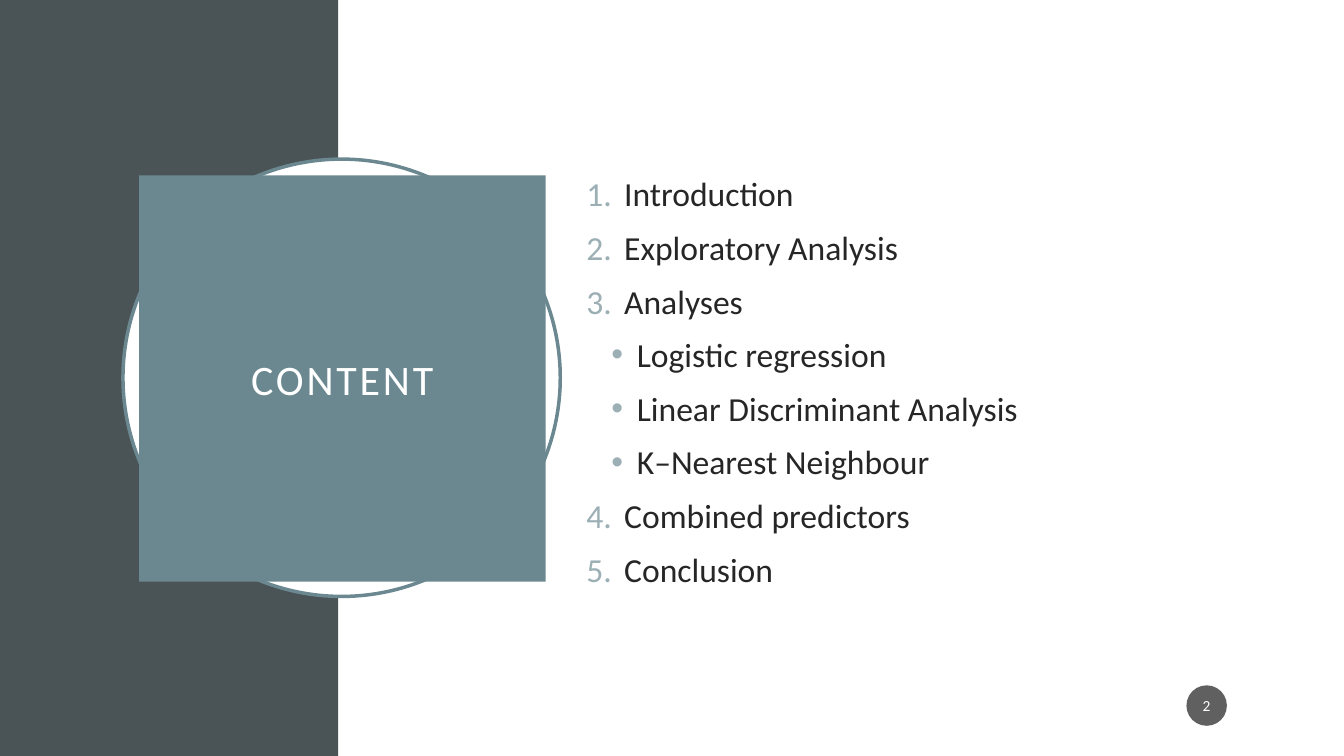
from lxml import etree
from pptx import Presentation
from pptx import util as u
from pptx.dml.color import RGBColor
from pptx.enum import shapes, text
from pptx.oxml.ns import qn

COLOURS = {
    "band": "4A5356", "paper": "FFFFFF", "accent": "6B8891",
    "marker": "9BAFB5", "ink": "262626", "badge": "1D1D1D",
}
SHAPE = shapes.MSO_SHAPE
WIDTH, HEIGHT, BAND_WIDTH = 33.87, 19.05, 8.53
AGENDA = [
    ("Introduction", 0), ("Exploratory Analysis", 0), ("Analyses", 0),
    ("Logistic regression", 1), ("Linear Discriminant Analysis", 1),
    ("K–Nearest Neighbour", 1),
    ("Combined predictors", 0), ("Conclusion", 0),
]


class SlideBuilder:
    """Draws styled elements on the current slide."""

    def __init__(self, slide, font="Calibri"):
        self.slide = slide
        self.font = font

    def colour(self, name):
        return RGBColor.from_string(COLOURS[name])

    def shape(self, kind, left, top, width, height, fill, line=None, opacity=None):
        shape = self.slide.shapes.add_shape(
            kind, u.Cm(left), u.Cm(top), u.Cm(width), u.Cm(height))
        shape.shadow.inherit = False
        shape.fill.solid()
        shape.fill.fore_color.rgb = self.colour(fill)
        if opacity:
            colour = shape.fill._xPr.find(".//" + qn("a:srgbClr"))
            etree.SubElement(colour, qn("a:alpha"), val=str(opacity * 1000))
        if line:
            shape.line.color.rgb = self.colour(line)
            shape.line.width = u.Pt(2.5)
        else:
            shape.line.fill.background()
        return shape

    def run(self, paragraph, words, size, colour, spacing=0):
        run = paragraph.add_run()
        run.text = words
        run.font.name = self.font
        run.font.size = u.Pt(size)
        run.font.color.rgb = self.colour(colour)
        if spacing:
            run.font._element.set("spc", str(spacing * 100))

    def label(self, shape, words, size, inset, spacing=0):
        frame = shape.text_frame
        frame.vertical_anchor = text.MSO_ANCHOR.MIDDLE
        frame.margin_left = frame.margin_right = u.Cm(inset)
        paragraph = frame.paragraphs[0]
        paragraph.alignment = text.PP_ALIGN.CENTER
        self.run(paragraph, words, size, "paper", spacing)

    def marker(self, paragraph, level):
        indent, hanging = [(0.95, 0.95), (1.27, 0.64)][level]
        properties = paragraph._p.get_or_add_pPr()
        properties.set("marL", str(u.Cm(indent)))
        properties.set("indent", str(-u.Cm(hanging)))
        colour = etree.SubElement(properties, qn("a:buClr"))
        etree.SubElement(colour, qn("a:srgbClr"), val=COLOURS["marker"])
        if level:
            etree.SubElement(properties, qn("a:buFont"), typeface="Arial")
            etree.SubElement(properties, qn("a:buChar"), char="•")
        else:
            etree.SubElement(properties, qn("a:buFont"), typeface=self.font)
            etree.SubElement(properties, qn("a:buAutoNum"), type="arabicPeriod")

    def outline(self, left, top, width, height, items):
        box = self.slide.shapes.add_textbox(
            u.Cm(left), u.Cm(top), u.Cm(width), u.Cm(height))
        frame = box.text_frame
        frame.word_wrap = True
        frame.vertical_anchor = text.MSO_ANCHOR.MIDDLE
        frame.margin_bottom = u.Cm(0.76)
        for index, (words, level) in enumerate(items):
            paragraph = frame.add_paragraph() if index else frame.paragraphs[0]
            paragraph.level = level
            paragraph.space_before = u.Pt(9.5)
            self.marker(paragraph, level)
            self.run(paragraph, words, 24, "ink")


def main():
    presentation = Presentation()
    presentation.slide_width = u.Cm(WIDTH)
    presentation.slide_height = u.Cm(HEIGHT)
    builder = SlideBuilder(presentation.slides.add_slide(presentation.slide_layouts[6]))

    builder.shape(SHAPE.RECTANGLE, 0, 0, BAND_WIDTH, HEIGHT, "band")
    builder.shape(SHAPE.RECTANGLE, BAND_WIDTH, 0, WIDTH - BAND_WIDTH, HEIGHT, "paper")
    builder.shape(SHAPE.OVAL, 3.1, 4.01, 11.02, 11.02, "paper", line="accent")
    title = builder.shape(SHAPE.RECTANGLE, 3.51, 4.42, 10.24, 10.24, "accent")
    builder.label(title, "CONTENT", 30, 0.51, spacing=2)
    builder.outline(14.53, 2.95, 14.78, 13.94, AGENDA)
    badge = builder.shape(SHAPE.OVAL, 29.9, 17.27, 1.02, 1.02, "badge", opacity=70)
    builder.label(badge, "2", 11, 0.05)

    presentation.save("out.pptx")


if __name__ == "__main__":
    main()
